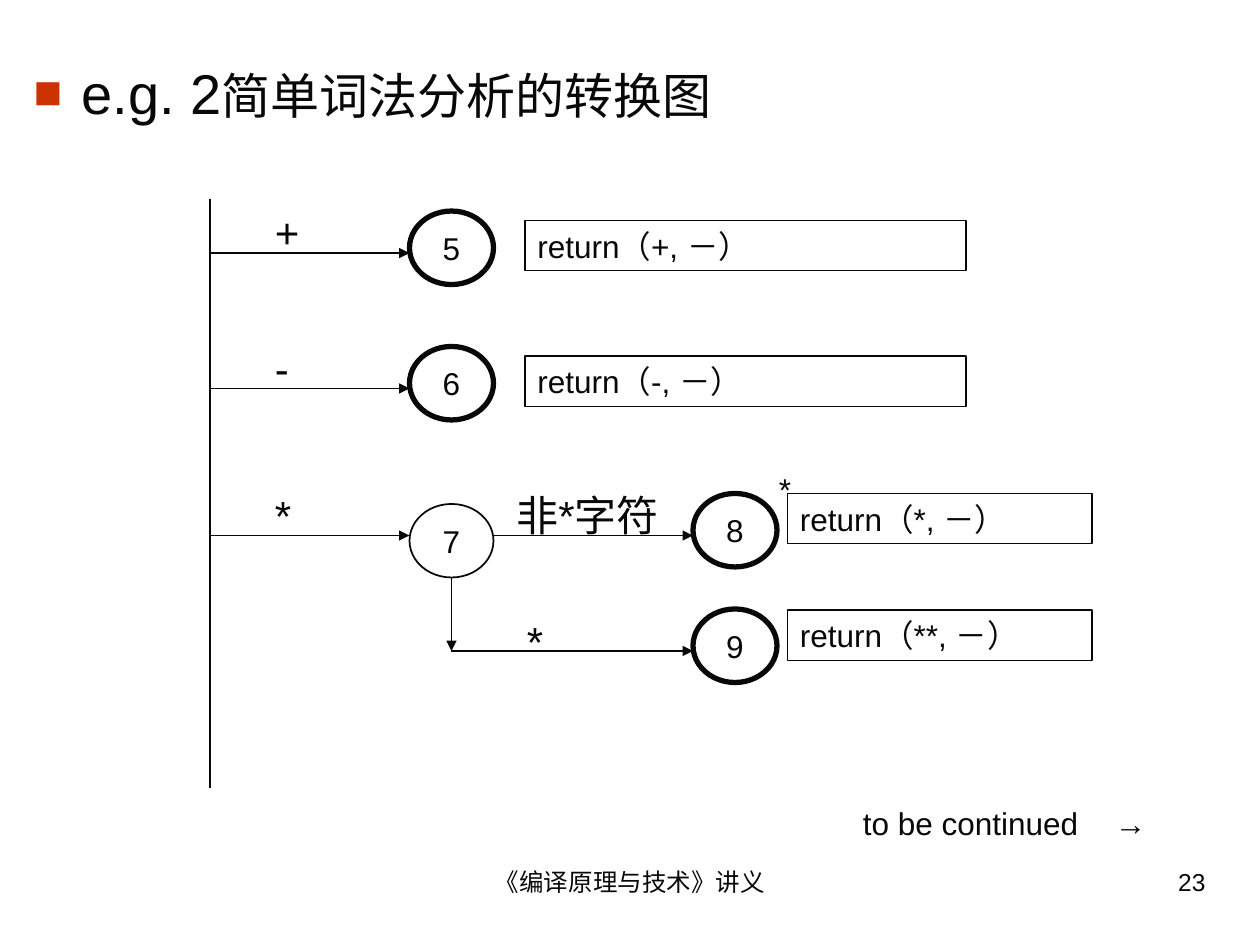
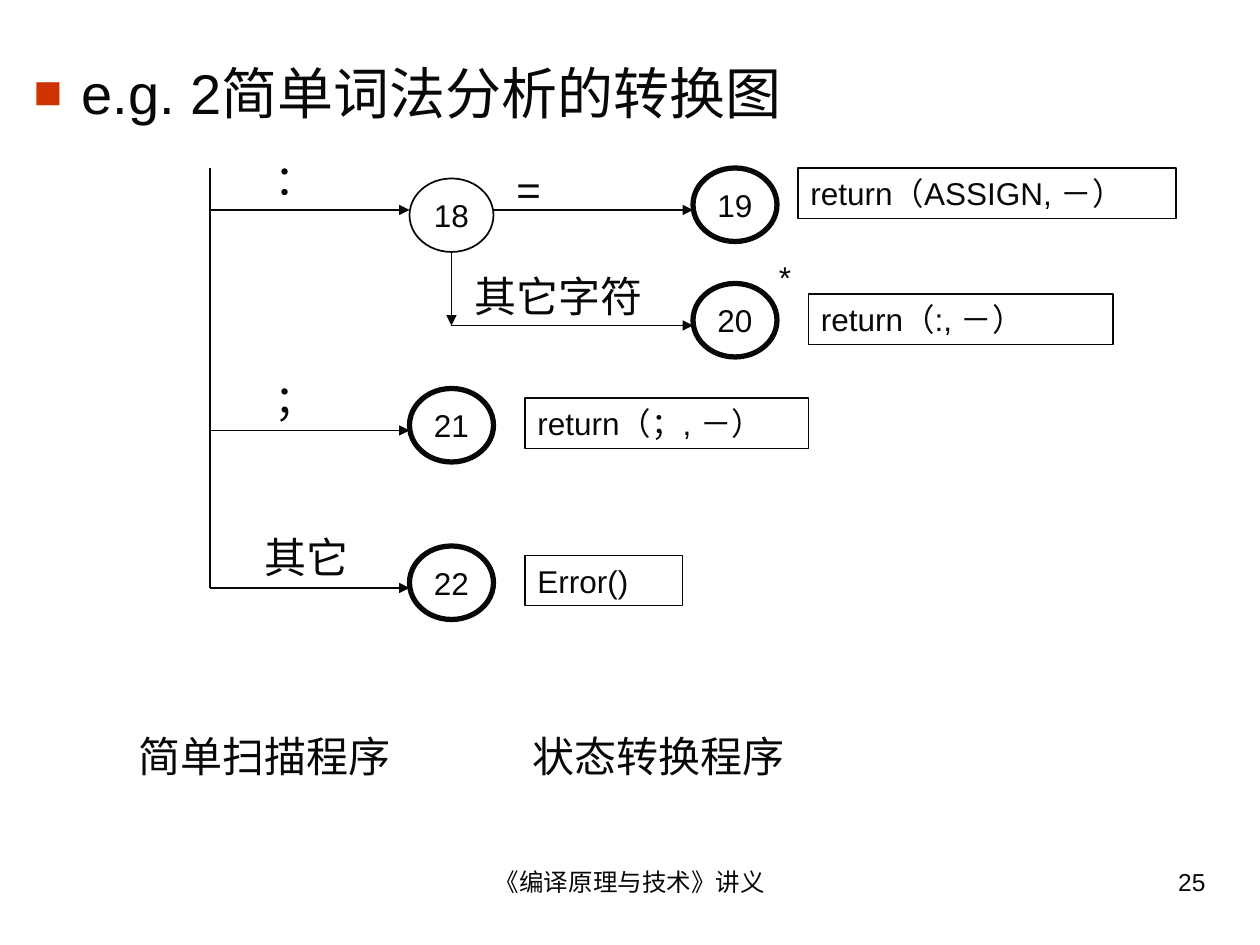
from lxml import etree
from pptx import Presentation, util as u
from pptx.dml.color import RGBColor
from pptx.enum import shapes, text
from pptx.oxml import ns

INK = RGBColor(0x08, 0x08, 0x08)
BULLET = RGBColor(0xCC, 0x33, 0x00)
FONT = "Arial"
COLS, ROWS = 120, 90                  # grid cells across and down the slide
AXIS, FIRST, SECOND = 20, 39, 66      # columns of the start line and the states
STATE_W, STATE_H = 8, 7
TOPIC = "简单词法分析的转换图"
FOOTER = "《编译原理与技术》讲义"


class Deck:
    """Holds the style, the grid and the current slide."""

    def __init__(self):
        self.prs = Presentation()
        self.prs.slide_width, self.prs.slide_height = u.Inches(10), u.Inches(7.5)
        self.s = None

    def x(self, col):
        return round(self.prs.slide_width * col / COLS)

    def y(self, row):
        return round(self.prs.slide_height * row / ROWS)

    def box(self, col, row, w, h):
        return self.x(col), self.y(row), self.x(w), self.y(h)

    def font(self, p, size):
        for r in p.runs:
            r.font.name, r.font.size = FONT, u.Pt(size)
            r.font.color.rgb = INK

    def set_text(self, sp, words, size, align=text.PP_ALIGN.LEFT, grow=True):
        tf = sp.text_frame
        tf.word_wrap = True
        tf.vertical_anchor = text.MSO_ANCHOR.TOP
        fit = text.MSO_AUTO_SIZE
        tf.auto_size = fit.SHAPE_TO_FIT_TEXT if grow else fit.NONE
        tf.text = words
        p = tf.paragraphs[0]
        p.alignment = align
        if grow:
            p.space_before = u.Pt(round(size * 0.625, 1))
        self.font(p, size)

    # Slide frame: bulleted heading, footer, page number
    def new_slide(self, page, topic_size, space):
        self.s = self.prs.slides.add_slide(self.prs.slide_layouts[1])
        title = self.s.shapes.title
        title.element.getparent().remove(title.element)
        self.heading(topic_size, space)
        self.label(41, 82, 38, FOOTER, 14, text.PP_ALIGN.CENTER, False)
        self.label(86, 82, 30, str(page), 14, text.PP_ALIGN.RIGHT, False)

    def heading(self, topic_size, space):
        sp = self.s.placeholders[1]
        sp.left, sp.top, sp.width, sp.height = self.box(2, 5, 112, 8)
        tf = sp.text_frame
        tf.auto_size = text.MSO_AUTO_SIZE.NONE
        tf.text = "e.g. 2"
        p = tf.paragraphs[0]
        self.font(p, 32)
        r = p.add_run()
        r.text = TOPIC
        r.font.name, r.font.size = FONT, u.Pt(topic_size)
        r.font.color.rgb = INK
        p.space_before = u.Pt(space)
        pPr = p._p.get_or_add_pPr()
        pPr.set("marL", str(u.Inches(0.38)))
        pPr.set("indent", str(-u.Inches(0.38)))
        clr = etree.SubElement(pPr, ns.qn("a:buClr"))
        etree.SubElement(clr, ns.qn("a:srgbClr"), val=str(BULLET))
        etree.SubElement(pPr, ns.qn("a:buSzPct"), val="85000")
        etree.SubElement(pPr, ns.qn("a:buChar"), char="■")

    # Diagram elements
    def label(self, col, row, w, words, size=24, align=text.PP_ALIGN.LEFT, grow=True):
        h = size / 5 + 1.2 if grow else 6.2
        sp = self.s.shapes.add_textbox(*self.box(col, row, w, h))
        self.set_text(sp, words, size, align, grow)

    def outline(self, kind, col, row, w, h, weight):
        sp = self.s.shapes.add_shape(kind, *self.box(col, row, w, h))
        sp.shadow.inherit = False
        sp.fill.background()
        sp.line.color.rgb, sp.line.width = INK, u.Pt(weight)
        return sp

    def state(self, col, row, number, final=True):
        """A state on the arrow at this row; final states have a heavy ring."""
        top = row - (4 if final else 3)
        sp = self.outline(shapes.MSO_SHAPE.OVAL, col, top, STATE_W, STATE_H,
                          3 if final else 1)
        self.set_text(sp, str(number), 18, text.PP_ALIGN.CENTER, grow=False)
        sp.text_frame.word_wrap = False
        sp.text_frame.vertical_anchor = text.MSO_ANCHOR.MIDDLE

    def action(self, col, row, w, words):
        sp = self.outline(shapes.MSO_SHAPE.RECTANGLE, col, row, w, 4.8, 0.75)
        self.set_text(sp, words, 18)

    def line(self, col1, row1, col2, row2, arrow=True):
        c = self.s.shapes.add_connector(
            shapes.MSO_CONNECTOR.STRAIGHT,
            self.x(col1), self.y(row1), self.x(col2), self.y(row2))
        c.line.color.rgb, c.line.width = INK, u.Pt(0.75)
        if arrow:
            etree.SubElement(c.line._get_or_add_ln(), ns.qn("a:tailEnd"), type="triangle")
        etree.SubElement(c._element.spPr, ns.qn("a:effectLst"))

    def start(self, row, number, final=True):
        """An arrow from the start line to a state of the first column."""
        self.line(AXIS, row, FIRST, row)
        self.state(FIRST, row, number, final)

    def fork(self, row, number, drop):
        """A state that leads to two final states, ahead and below."""
        self.start(row, number, final=False)
        middle, low = FIRST + STATE_W / 2, row + drop
        self.line(FIRST + STATE_W, row, SECOND, row)
        self.line(middle, row - 3 + STATE_H, middle, low)
        self.line(middle, low, SECOND, low)
        self.state(SECOND, row, number + 1)
        self.state(SECOND, low, number + 2)

    def retract(self, row):
        """The star that marks a state which gives back one character."""
        self.label(73, row - 7, 8, "*", 18)


def operators(d):
    d.new_slide(23, topic_size=28, space=7)
    d.line(AXIS, 19, AXIS, 75, arrow=False)
    # Single-character operators
    for row, number, sign in ((24.1, 5, "+"), (37, 6, "-")):
        d.start(row, number)
        d.label(25, row - 5, 11, sign)
        d.action(50, row - 3.1, 42, f"return（{sign}, －）")
    # One or two stars
    d.fork(51, 7, drop=11)
    d.label(25, 46, 11, "*")
    d.label(48, 46, 20, "非*字符")
    d.label(49, 58, 15, "*")
    d.retract(51.2)
    for row, sign in ((47, "*"), (58.1, "**")):
        d.action(75, row, 29, f"return（{sign}, －）")
    d.label(81, 76, 35, "to be continued\t→", 18)


def punctuation(d):
    d.new_slide(25, topic_size=32, space=8)
    d.line(AXIS, 16, AXIS, 56, arrow=False)
    # Colon, alone or in an assignment
    d.fork(20, 18, drop=11)
    d.label(25, 14, 11, "：")
    d.label(48, 15, 20, "=")
    d.label(44, 25.2, 20, "其它字符")
    d.retract(31)
    d.action(76, 16, 36, "return（ASSIGN, －）")
    d.action(77, 28, 29, "return（:, －）")
    # Semicolon and everything else
    for row, number, col, sign, w, result in (
            (41, 21, 25, "；", 27, "return（；, －）"),
            (56, 22, 24, "其它", 15, "Error()")):
        d.start(row, number)
        d.label(col, row - 6, 11, sign)
        d.action(50, row - 3.1, w, result)
    # Program names
    d.label(12, 69, 34, "简单扫描程序")
    d.label(49.5, 69, 29, "状态转换程序")


def main():
    d = Deck()
    operators(d)
    punctuation(d)
    d.prs.save("out.pptx")


if __name__ == "__main__":
    main()
